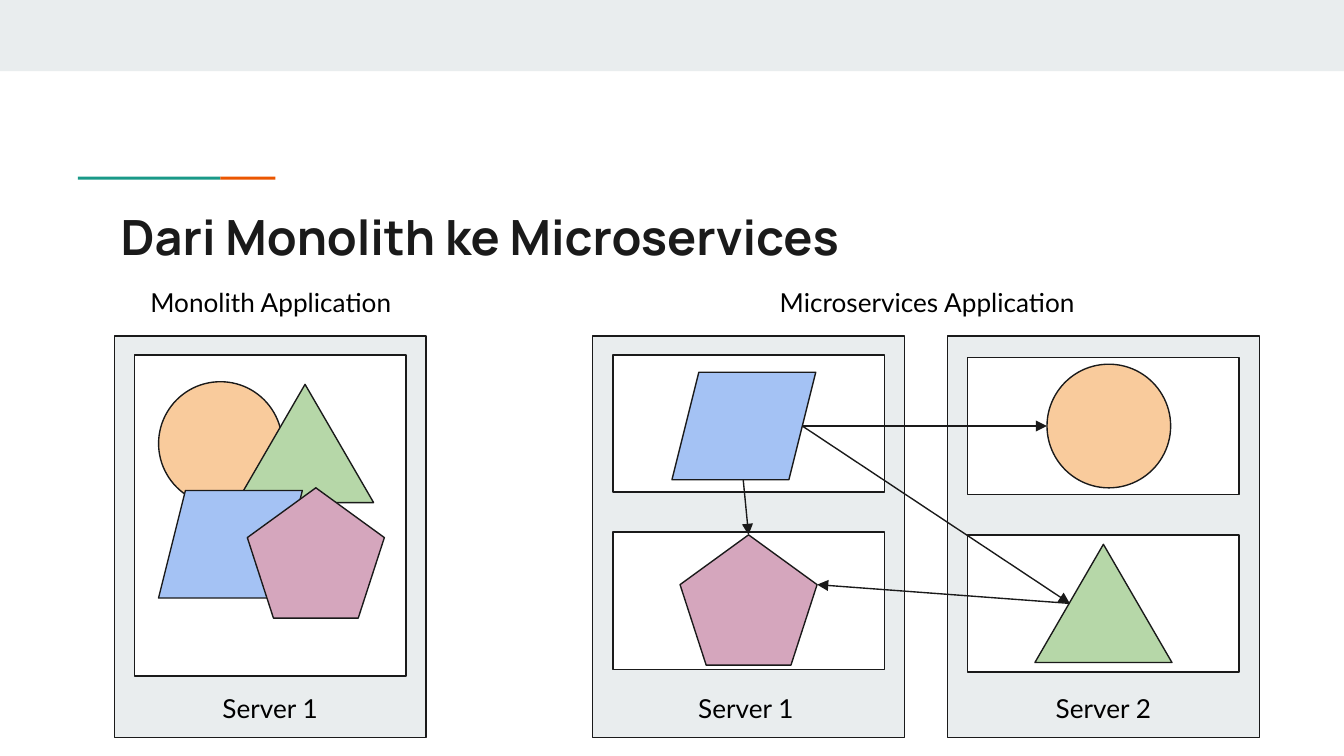
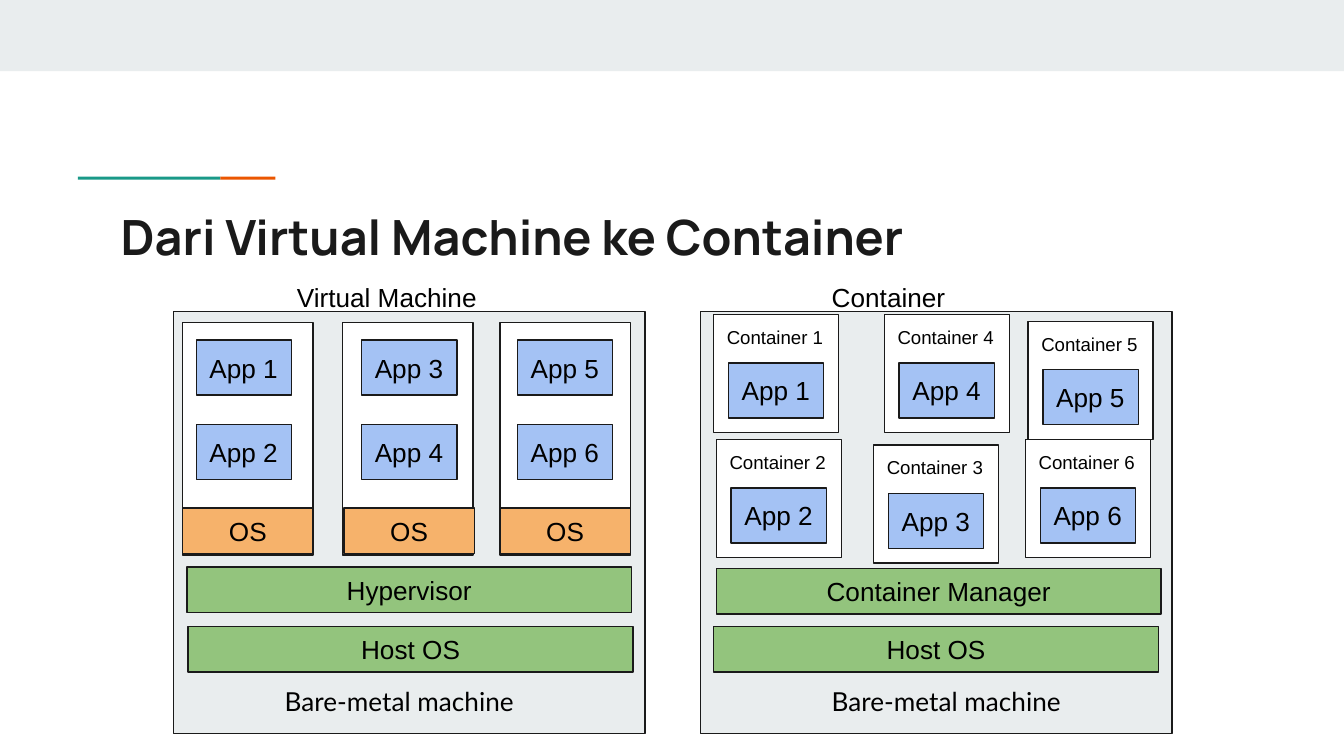
from lxml.etree import SubElement
from pptx import Presentation
from pptx.dml.color import RGBColor
from pptx.enum.shapes import MSO_CONNECTOR, MSO_SHAPE
from pptx.enum.text import MSO_ANCHOR, PP_ALIGN
from pptx.oxml.ns import qn
from pptx.util import Inches, Pt

# Grid: 100 columns across the slide, with square cells
COLUMNS, ROWS = 100, 56.25
CELL = Inches(10) / COLUMNS

MIST = RGBColor(0xE9, 0xED, 0xEE)
TEAL = RGBColor(0x1A, 0x99, 0x88)
RED = RGBColor(0xEB, 0x56, 0x00)
INK = RGBColor(0x1A, 0x1A, 0x1A)
BLACK = RGBColor(0, 0, 0)
WHITE = RGBColor(0xFF, 0xFF, 0xFF)
PEACH = RGBColor(0xF9, 0xCB, 0x9C)
ORANGE = RGBColor(0xF6, 0xB2, 0x6B)
LIGHT_GREEN = RGBColor(0xB6, 0xD7, 0xA8)
GREEN = RGBColor(0x93, 0xC4, 0x7D)
BLUE = RGBColor(0xA4, 0xC2, 0xF4)
PINK = RGBColor(0xD5, 0xA6, 0xBD)

# The four services: preset, fill, width, height
CIRCLE = (MSO_SHAPE.OVAL, PEACH, 9.2, 9.2)
TRIANGLE = (MSO_SHAPE.ISOSCELES_TRIANGLE, LIGHT_GREEN, 10.2, 8.8)
SLANT = (MSO_SHAPE.PARALLELOGRAM, BLUE, 10.7, 8)
PENTAGON = (MSO_SHAPE.REGULAR_PENTAGON, PINK, 10.2, 9.7)


def cells(*counts):
    return [round(count * CELL) for count in counts]


def write(frame, text, size=14, font="Arial", color=BLACK, bold=False,
          align=PP_ALIGN.LEFT, anchor=MSO_ANCHOR.TOP, wrap=True):
    frame.word_wrap = wrap
    frame.vertical_anchor = anchor
    frame.margin_left = frame.margin_right = Inches(0.1)
    frame.margin_top = frame.margin_bottom = Inches(0.1)
    paragraph = frame.paragraphs[0]
    paragraph.alignment = align
    run = paragraph.add_run()
    run.text = text
    run.font.size = Pt(size)
    run.font.name = font
    run.font.bold = bold
    run.font.color.rgb = color


def label(slide, text, left, top, width, height, **style):
    box = slide.shapes.add_textbox(*cells(left, top, width, height))
    write(box.text_frame, text, **style)


def block(slide, left, top, width, height, fill, text=None,
          preset=MSO_SHAPE.RECTANGLE, outlined=True, **style):
    shape = slide.shapes.add_shape(preset, *cells(left, top, width, height))
    shape.shadow.inherit = False
    shape.fill.solid()
    shape.fill.fore_color.rgb = fill
    if outlined:
        shape.line.color.rgb = INK
        shape.line.width = Pt(0.75)
    else:
        shape.line.fill.background()
    if text:
        write(shape.text_frame, text, anchor=MSO_ANCHOR.MIDDLE, **style)


def service(slide, kind, left, top):
    preset, fill, width, height = kind
    block(slide, left, top, width, height, fill, preset=preset)


def arrow(slide, start, end):
    line = slide.shapes.add_connector(
        MSO_CONNECTOR.STRAIGHT, *cells(*start, *end))
    line.line.color.rgb = INK
    line.line.width = Pt(0.75)
    properties = line._element.spPr
    SubElement(properties.find(qn("a:ln")), qn("a:tailEnd"), type="triangle")
    SubElement(properties, qn("a:effectLst"))


def titled_slide(deck, title):
    slide = deck.slides.add_slide(deck.slide_layouts[6])
    block(slide, 0, 0, COLUMNS, 5.3, MIST, outlined=False)
    block(slide, 5.8, 13.15, 10.6, 0.22, TEAL, outlined=False)
    block(slide, 16.4, 13.15, 4.1, 0.22, RED, outlined=False)
    label(slide, title, 8, 14.4, 84.1, 5.9,
          size=26, font="Manrope", color=INK, bold=True)
    return slide


def server(slide, name, left, name_left, rooms):
    """Draw a server with its rooms, given as (top, height)."""
    block(slide, left, 25, 23.2, 29.9, MIST)
    for top, height in rooms:
        block(slide, left + 1.5, top, 20.2, height, WHITE)
    label(slide, name, name_left, 50.5, 19.8, 4.5,
          font="Lato", align=PP_ALIGN.CENTER)


def app(slide, number, left, top):
    block(slide, left, top, 7.1, 4.1, BLUE, f"App {number}", wrap=False)


def layer(slide, name, left, top):
    block(slide, left, top, 33.1, 3.4, GREEN, name, align=PP_ALIGN.CENTER)


def machine(slide, name, left, name_left, floor_left):
    block(slide, left, 23.2, 35.1, 31.4, MIST)
    label(slide, name, name_left, 19.9, 17.5, 4.1)
    label(slide, "Bare-metal machine", floor_left, 50, 19.4, 4.1, font="Lato")


def virtual_machine(slide, first, left, app_left, os_left):
    block(slide, left, 24, 9.7, 17.3, WHITE)
    block(slide, os_left, 37.8, 9.7, 3.4, ORANGE, "OS", align=PP_ALIGN.CENTER)
    for row in range(2):
        app(slide, first + row, app_left, 25.3 + 6.3 * row)


def container(slide, number, left, top):
    block(slide, left, top, 9.3, 8.8, WHITE)
    app(slide, number, left + 1.1, top + 3.6)
    label(slide, f"Container {number}", left, top, 9.7, 4.1, size=10)


def monolith_slide(deck):
    slide = titled_slide(deck, "Dari Monolith ke Microservices")
    for name, left, width in (("Monolith Application", 9.2, 21.9),
                              ("Microservices Application", 55.2, 27.6)):
        label(slide, name, left, 20.3, width, 5.8,
              font="Lato", align=PP_ALIGN.CENTER)

    # Servers and the rooms inside them
    server(slide, "Server 1", 8.5, 10.2, [(26.4, 23.9)])
    server(slide, "Server 1", 44.1, 45.6, [(26.4, 10.2), (39.6, 10.2)])
    server(slide, "Server 2", 70.5, 72.2, [(26.6, 10.2), (39.8, 10.2)])

    # All services in one room, then one room each
    for kind, left, top in (
            (CIRCLE, 11.8, 28.4), (TRIANGLE, 17.6, 28.6),
            (SLANT, 11.8, 36.5), (PENTAGON, 18.4, 36.3),
            (PENTAGON, 50.6, 39.8), (SLANT, 50, 27.7),
            (CIRCLE, 77.9, 27.1), (TRIANGLE, 77, 40.5)):
        service(slide, kind, left, top)

    # Calls between services
    slant_side, triangle_side = (59.7, 31.7), (79.6, 44.9)
    arrow(slide, slant_side, triangle_side)
    arrow(slide, (55.3, 35.7), (55.7, 39.8))
    arrow(slide, slant_side, (77.9, 31.7))
    arrow(slide, triangle_side, (60.8, 43.5))


def container_slide(deck):
    slide = titled_slide(deck, "Dari Virtual Machine ke Container")

    # Virtual machines on a hypervisor
    machine(slide, "Virtual Machine", 12.9, 21.1, 20.2)
    layer(slide, "Host OS", 14, 46.6)
    layer(slide, "Hypervisor", 13.9, 42.2)
    for first, left, app_left, os_left in (
            (1, 13.6, 14.6, 13.6), (3, 25.5, 26.9, 25.6),
            (5, 37.2, 38.5, 37.2)):
        virtual_machine(slide, first, left, app_left, os_left)

    # Containers on a manager
    machine(slide, "Container", 52.1, 60.9, 60.9)
    layer(slide, "Host OS", 53.1, 46.6)
    layer(slide, "Container Manager", 53.3, 42.3)
    for number, left, top in (
            (1, 53.1, 23.4), (2, 53.3, 32.7), (4, 65.8, 23.4),
            (3, 65, 33.1), (6, 76.3, 32.7), (5, 76.5, 23.9)):
        container(slide, number, left, top)


def main():
    deck = Presentation()
    deck.slide_width, deck.slide_height = cells(COLUMNS, ROWS)
    monolith_slide(deck)
    container_slide(deck)
    deck.save("out.pptx")


if __name__ == "__main__":
    main()
